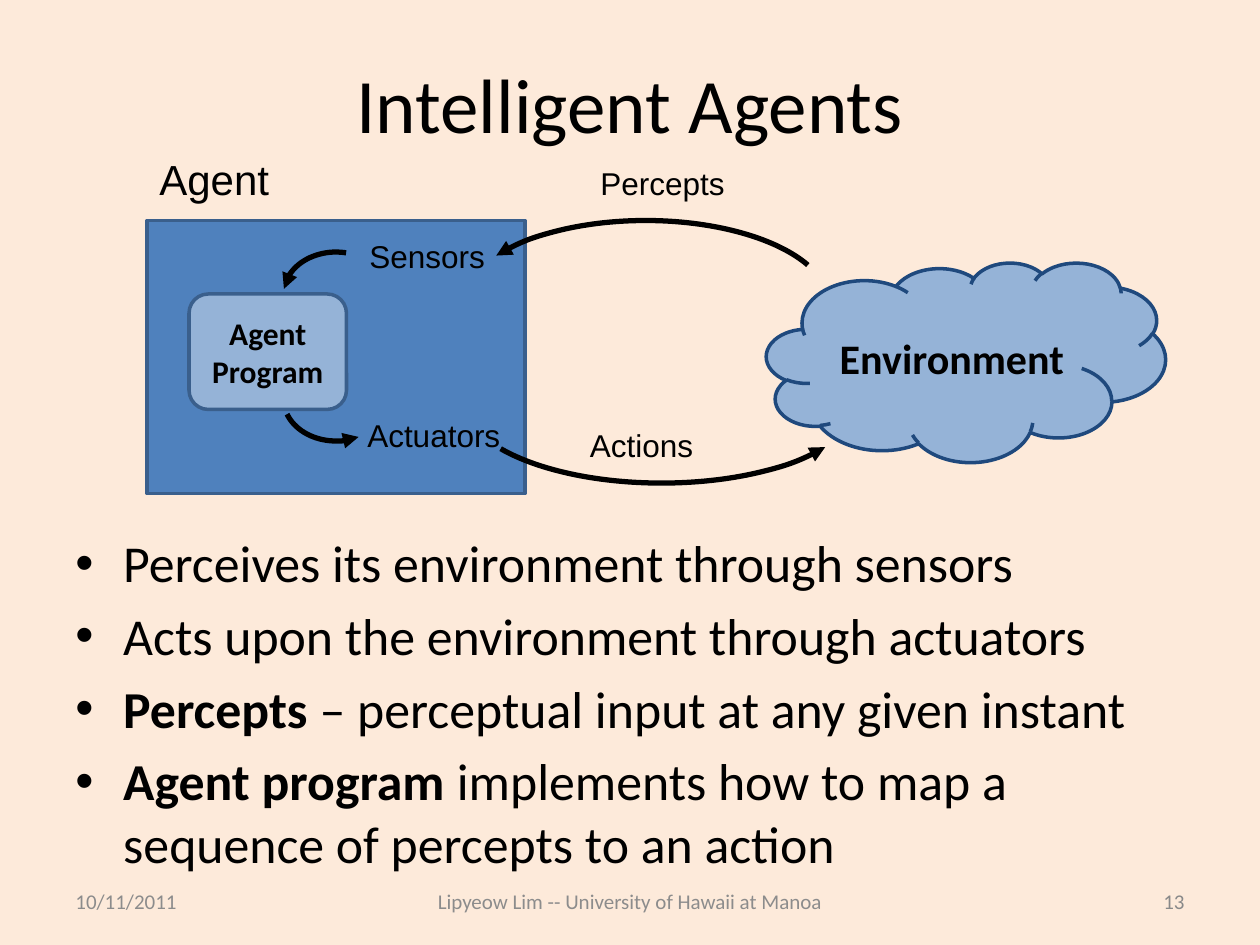
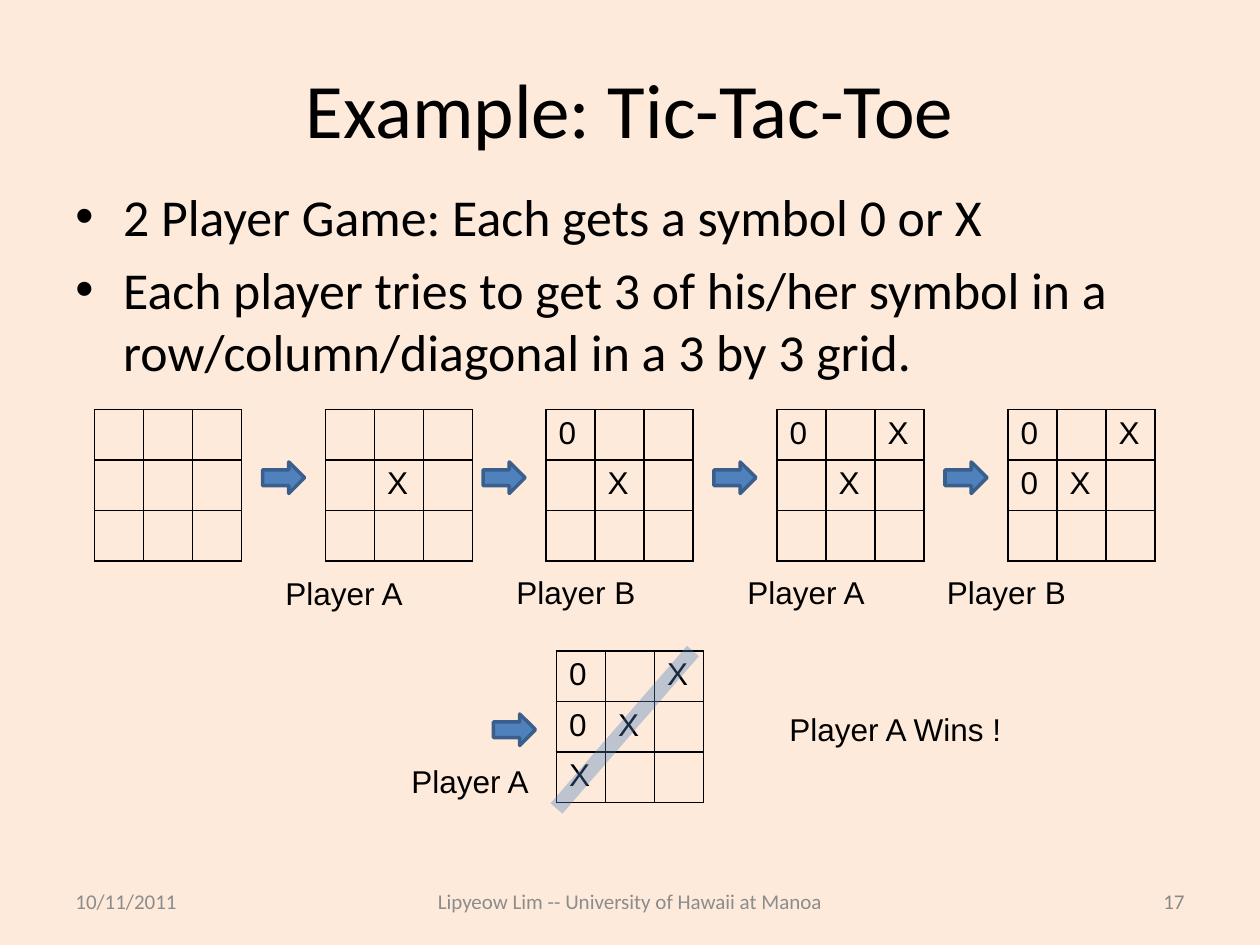
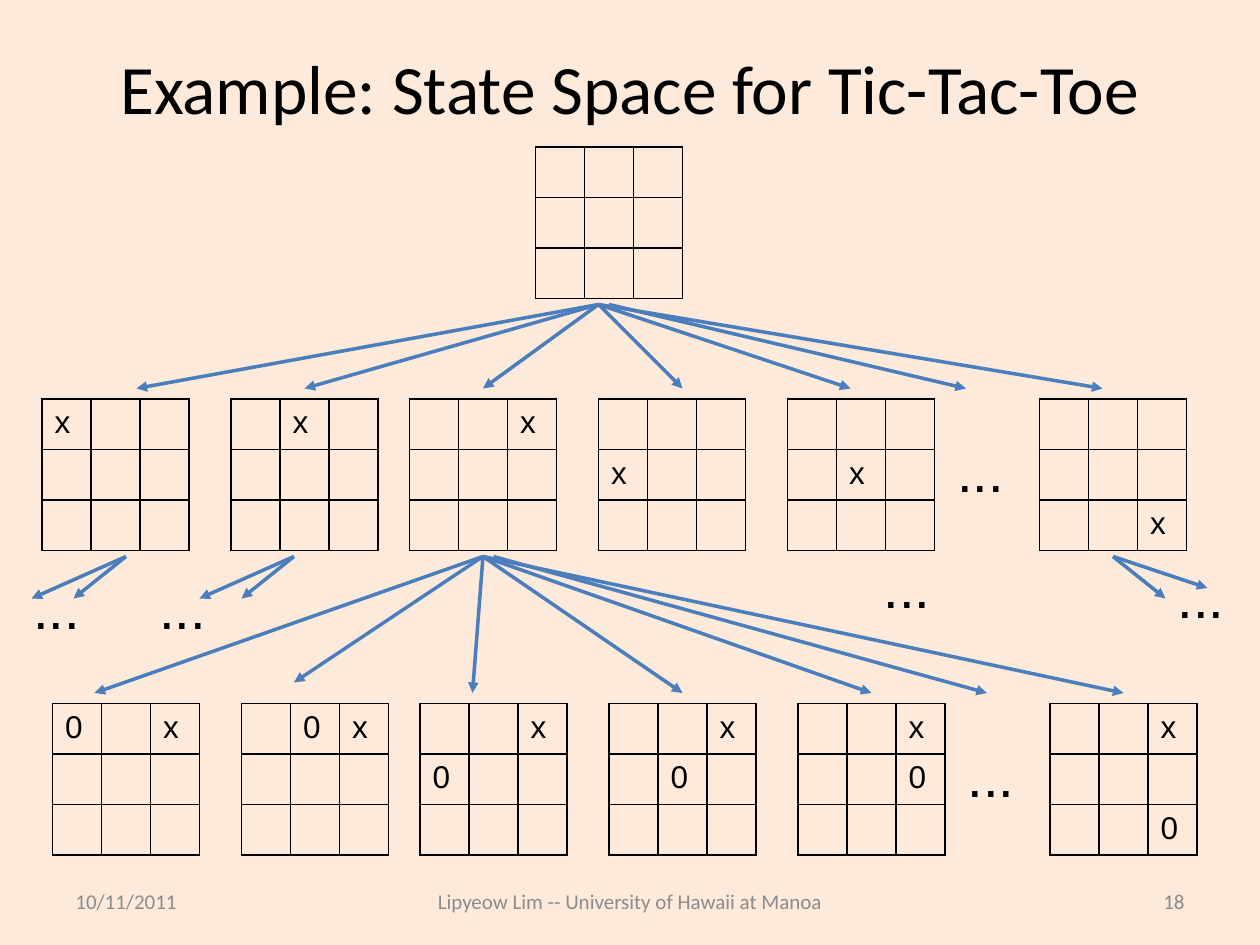
from lxml import etree
from pptx import Presentation
from pptx.dml.color import RGBColor
from pptx.enum.shapes import MSO_CONNECTOR, MSO_SHAPE
from pptx.enum.text import MSO_ANCHOR, MSO_AUTO_SIZE, PP_ALIGN
from pptx.oxml.ns import qn
from pptx.util import Inches, Pt

LEFT, CENTER, RIGHT = PP_ALIGN.LEFT, PP_ALIGN.CENTER, PP_ALIGN.RIGHT
MIDDLE = MSO_ANCHOR.MIDDLE
FIT_SHAPE = MSO_AUTO_SIZE.SHAPE_TO_FIT_TEXT
STRAIGHT = MSO_CONNECTOR.STRAIGHT

COLORS = {
    "page": "FDEADA", "text": "000000", "footer": "8C8C8C", "number": "898989",
    "blue": "4F81BD", "blue edge": "3A5F8C", "pale blue": "95B3D7",
    "navy": "1F497D", "arrow": "4B7EBC",
}
RGB = {name: RGBColor.from_string(value) for name, value in COLORS.items()}

deck = Presentation()
deck.slide_width, deck.slide_height = Inches(10), Inches(7.5)

# Everything sits on a grid of 120 columns by 90 rows of square units
UNIT = deck.slide_width / 120
MARGIN, CONTENT_WIDTH = 6, 108
TITLE_TOP, FOOTER_TOP, FOOTER_HEIGHT = 3.6, 83.4, 4.8
CELL_WIDTH, CELL_HEIGHT = 14 / 3, 4.8


def write(page, text, place, size=18, font="Arial", color="text", align=LEFT,
          bold=False, shape=None):
    """Write one styled line in a new label, or centred vertically in a shape."""
    box = shape or page.shapes.add_textbox(*[round(n * UNIT) for n in place])
    frame = box.text_frame
    frame.text = text
    if font == "Arial":
        frame.word_wrap = False
        frame.auto_size = FIT_SHAPE
    else:
        frame.word_wrap = True
        frame.vertical_anchor = MIDDLE
    para = frame.paragraphs[0]
    para.alignment = align
    para.font.size, para.font.name, para.font.bold = Pt(size), font, bold
    para.font.color.rgb = RGB[color]


def draw_board(page, left, top, marks="--- --- ---"):
    """Draw a tic-tac-toe board; marks holds three rows, with - for empty."""
    table = page.shapes.add_table(
        3, 3, round(left * UNIT), round(top * UNIT),
        round(3 * CELL_WIDTH * UNIT), round(3 * CELL_HEIGHT * UNIT)).table
    table.first_row = table.horz_banding = False
    for row, symbols in enumerate(marks.split()):
        for column, symbol in enumerate(symbols):
            cell = table.cell(row, column)
            properties = cell._tc.get_or_add_tcPr()
            for side in ("a:lnL", "a:lnR", "a:lnT", "a:lnB"):
                border = etree.SubElement(properties, qn(side), w=str(Pt(1)))
                fill = etree.SubElement(border, qn("a:solidFill"))
                etree.SubElement(fill, qn("a:srgbClr"), val=COLORS["text"])
            cell.fill.background()
            if symbol != "-":
                cell.text_frame.text = symbol
                span = cell.text_frame.paragraphs[0].runs[0]
                span.font.size, span.font.name = Pt(18), "Arial"
                span.font.color.rgb = RGB["text"]


# Shared frame: title, bullets and footer.
# Each slide: title, size, title bottom, number, body top, body height, bullets
slides = [
    ("Intelligent Agents", 44, 16, "13", 50, 30.4, [
        ("", "Perceives its environment through sensors"),
        ("", "Acts upon the environment through actuators"),
        ("Percepts", " – perceptual input at any given instant"),
        ("Agent program",
         " implements how to map a sequence of percepts to an action"),
    ]),
    ("Example: Tic-Tac-Toe", 44, 17, "17", 17, 19, [
        ("", "2 Player Game: Each gets a symbol 0 or X"),
        ("", "Each player tries to get 3 of his/her symbol in a "
             "row/column/diagonal in a 3 by 3 grid."),
    ]),
    ("Example: State Space for Tic-Tac-Toe", 39.6, 13, "18", 0, 0, []),
]
pages = []
for title, size, bottom, number, body_top, body_height, bullets in slides:
    page = deck.slides.add_slide(deck.slide_layouts[6])
    pages.append(page)
    page.background.fill.solid()
    page.background.fill.fore_color.rgb = RGB["page"]
    write(page, title, (MARGIN, TITLE_TOP, CONTENT_WIDTH, bottom - TITLE_TOP),
          size, "Calibri", align=CENTER)

    if bullets:
        body = page.shapes.add_textbox(*[
            round(n * UNIT) for n in (MARGIN, body_top, CONTENT_WIDTH, body_height)])
        frame = body.text_frame
        frame.word_wrap = True
        for index, parts in enumerate(bullets):
            para = frame.add_paragraph() if index else frame.paragraphs[0]
            properties = para._p.get_or_add_pPr()
            properties.set("marL", str(Inches(0.38)))
            properties.set("indent", str(-Inches(0.38)))
            etree.SubElement(properties, qn("a:buFont"), typeface="Arial")
            etree.SubElement(properties, qn("a:buChar"), char="•")
            para.space_before = Pt(6 if index else 0)
            for text, bold in zip(parts, (True, False)):
                if text:
                    span = para.add_run()
                    span.text = text
                    span.font.size, span.font.name = Pt(29.6), "Calibri"
                    span.font.bold = bold
                    span.font.color.rgb = RGB["text"]

    for text, left, width, align, color in [
        ("10/11/2011", MARGIN, 28, LEFT, "footer"),
        ("Lipyeow Lim -- University of Hawaii at Manoa", 36, 48, CENTER, "footer"),
        (number, 86, 28, RIGHT, "number"),
    ]:
        write(page, text, (left, FOOTER_TOP, width, FOOTER_HEIGHT),
              12, "Calibri", color, align)

agent_page, game_page, tree_page = pages

# Intelligent agents: agent, environment and agent program
for kind, place, fill, edge, text, size in [
    (MSO_SHAPE.RECTANGLE, (14, 21, 36, 26), "blue", "blue edge", "", 18),
    (MSO_SHAPE.CLOUD, (73, 25, 38, 19), "pale blue", "navy", "Environment", 24),
    (MSO_SHAPE.ROUNDED_RECTANGLE, (18, 28, 15, 11), "pale blue", "blue edge",
     "Agent Program", 18),
]:
    shape = agent_page.shapes.add_shape(kind, *[round(n * UNIT) for n in place])
    shape.shadow.inherit = False
    shape.fill.solid()
    shape.fill.fore_color.rgb = RGB[fill]
    shape.line.color.rgb = RGB[edge]
    shape.line.width = Pt(2)
    if text:
        write(agent_page, text, place, size, "Calibri", align=CENTER, bold=True,
              shape=shape)

# Curved arrows: place, start and end angle, rotation
for place, start, end, rotation in [
    ((44, 21, 35, 16), 118.88, 207.8, 0),
    ((44, 30, 38, 16), 117.82, 205.71, 180),
    ((27, 34, 10, 8), 143.53, 205.71, 180),
    ((27, 24, 10, 8), 3.39, 62.2, 180),
]:
    arc = agent_page.shapes.add_shape(
        MSO_SHAPE.ARC, *[round(n * UNIT) for n in place])
    arc.shadow.inherit = False
    arc.adjustments[0], arc.adjustments[1] = start, end
    arc.rotation = rotation
    arc.fill.background()
    arc.line.color.rgb = RGB["text"]
    arc.line.width = Pt(3)
    outline = arc._element.spPr.find(qn("a:ln"))
    etree.SubElement(outline, qn("a:headEnd"), type="triangle")

for text, left, top, width, height, size in [
    ("Agent", 14, 14, 13, 6, 24),
    ("Sensors", 34, 22, 13.6, 4.8, 18),
    ("Actuators", 33.8, 39, 15.2, 4.8, 18),
    ("Actions", 55, 40, 12.4, 4.8, 18),
    ("Percepts", 56, 15, 14.4, 4.8, 18),
]:
    write(agent_page, text, (left, top, width, height), size)

# Tic-tac-toe: the opening board, then one board per move
draw_board(game_page, 9, 39)
for left, top, arrow_top, marks, player, label_left, label_top in [
    (31, 39, 44, "--- -X- ---", "A", 26, 54.1),
    (52, 39, 44, "0-- -X- ---", "B", 48, 54),
    (74, 39, 44, "0-X -X- ---", "A", 70, 54),
    (96, 39, 44, "0-X 0X- ---", "B", 89, 54),
    (53, 62, 68, "0-X 0X- X--", "A", 38, 72),
]:
    draw_board(game_page, left, top, marks)
    arrow = game_page.shapes.add_shape(
        MSO_SHAPE.RIGHT_ARROW,
        *[round(n * UNIT) for n in (left - 6, arrow_top, 4, 3)])
    arrow.shadow.inherit = False
    arrow.fill.solid()
    arrow.fill.fore_color.rgb = RGB["blue"]
    arrow.line.color.rgb = RGB["blue edge"]
    arrow.line.width = Pt(2)
    write(game_page, f"Player {player}", (label_left, label_top, 13.8, 4.8))
write(game_page, "Player A Wins !", (74, 67, 22.8, 4.8))

# State space: the root and two levels of boards
draw_board(tree_page, 51, 14)
first_level = ["x-- --- ---", "-x- --- ---", "--x --- ---",
               "--- x-- ---", "--- -x- ---", "--- --- --x"]
second_level = ["0-x --- ---", "-0x --- ---", "--x 0-- ---",
                "--x -0- ---", "--x --0 ---", "--x --- --0"]
for left, first, second in zip((4, 22, 39, 57, 75, 99), first_level, second_level):
    draw_board(tree_page, left, 38, first)
    draw_board(tree_page, left + 1, 67, second)

for left, top in [(90, 41), (91, 70), (2, 54), (14, 54), (111, 53), (83, 52)]:
    write(tree_page, "...", (left, top, 7, 7.7), 32)

# Lines: page, start, ends, width
fans = [
    (game_page, (66, 62), [(53, 77)], 9),
    (tree_page, (57, 29), [(x, 37) for x in (13, 29, 46, 65, 81, 105)], 2),
    (tree_page, (58, 29), [(92, 37)], 2),
    (tree_page, (46, 53),
     [(9, 66), (28, 65), (45, 66), (65, 66), (83, 66), (107, 66)], 2),
    (tree_page, (47, 53), [(94, 66)], 2),
    (tree_page, (12, 53), [(3, 57), (7, 57)], 2),
    (tree_page, (28, 53), [(19, 57), (23, 57)], 2),
    (tree_page, (106, 53), [(111, 57), (115, 56)], 2),
]
for page, start, ends, width in fans:
    for end in ends:
        line = page.shapes.add_connector(
            STRAIGHT, *[round(n * UNIT) for n in start + end])
        line.line.color.rgb = RGB["arrow"]
        line.line.width = Pt(width)
        properties = line._element.spPr
        etree.SubElement(properties, qn("a:effectLst"))
        outline = properties.find(qn("a:ln"))
        if page is game_page:
            # The winning diagonal is a translucent stroke
            color = outline.find(".//" + qn("a:srgbClr"))
            etree.SubElement(color, qn("a:alpha"), val="35000")
        else:
            etree.SubElement(outline, qn("a:tailEnd"), type="triangle")

deck.save("out.pptx")
